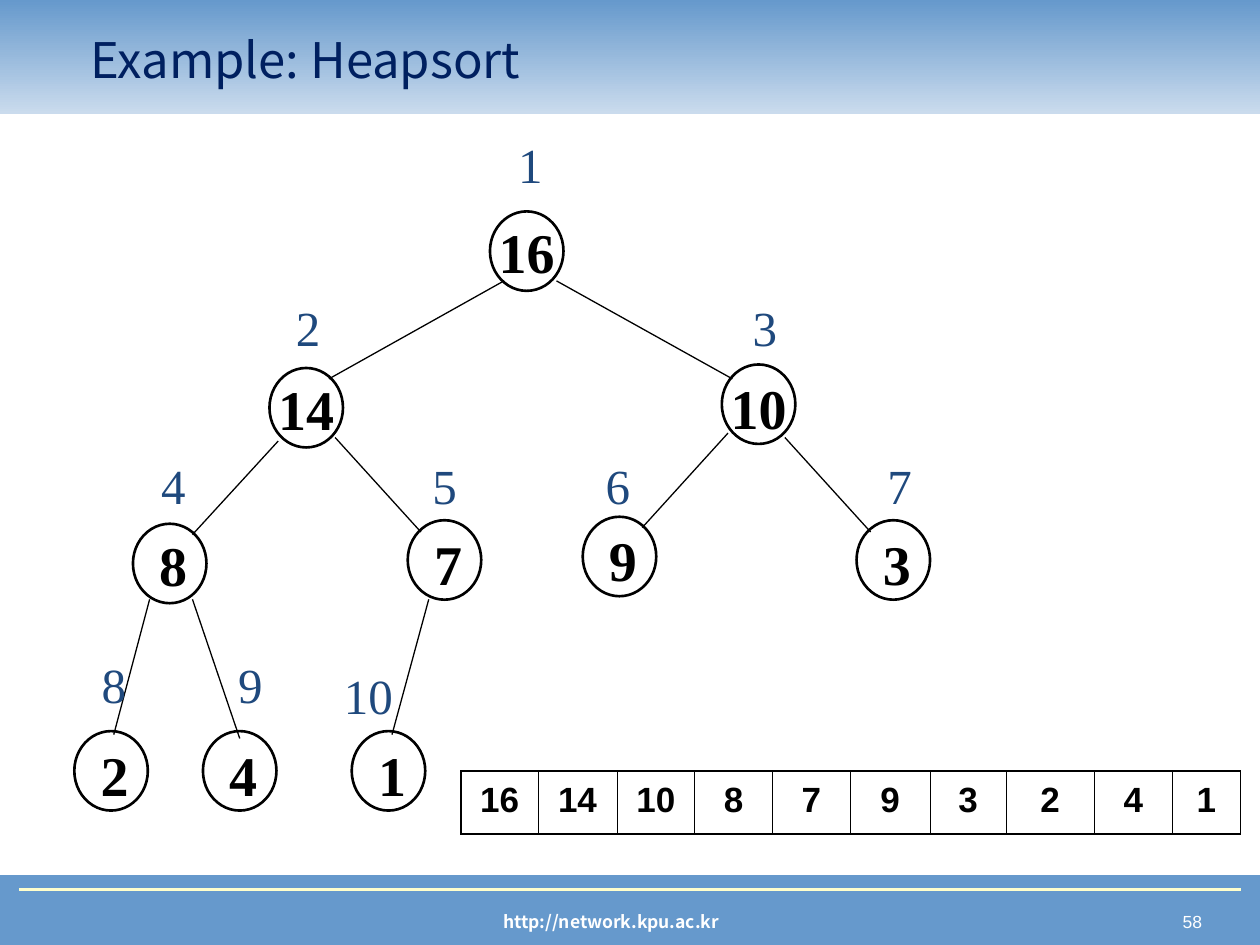
from dataclasses import dataclass
from lxml.etree import SubElement
from pptx import Presentation
from pptx.dml.color import RGBColor as RGB
from pptx.enum.shapes import MSO_CONNECTOR as LINK, MSO_SHAPE as SHAPE
from pptx.enum.text import MSO_ANCHOR as ANCHOR, PP_ALIGN as ALIGN
from pptx.oxml.ns import qn
from pptx.util import Pt


@dataclass(frozen=True)
class Theme:
    band: str = "6699CC"
    pale: str = "CADBED"
    rule: str = "FFFFCC"
    white: str = "FFFFFF"
    title: str = "002060"
    index: str = "1F497D"
    ink: str = "000000"
    sans: str = "Noto Sans CJK KR"
    serif: str = "Times New Roman"
    plain: str = "Arial"
    head: int = 28
    key: int = 32
    cell: int = 20
    foot: int = 10


T = Theme()
NODE_W, NODE_H = 42, 45.4

# key, node centre, drop of the key, index centre
NODES = [
    ("16", (265, 71.5), 0.5, (267, 22)),
    ("14", (139, 161), 0.5, (140, 115)),
    ("10", (397.5, 159), 2, (401, 115)),
    ("8", (61, 250), 0.5, (63, 205)),
    ("7", (218, 248), 2, (218, 205)),
    ("9", (318, 246), 2, (317, 205)),
    ("3", (474.5, 248), 2, (478, 205)),
    ("2", (27.5, 368.5), 2, (29, 319)),
    ("4", (101, 368.5), 2, (107, 319)),
    ("1", (186, 368.5), 2, (174.5, 325)),
]
EDGES = [
    (252, 88.5, 152, 144.5), (282, 88.5, 382.5, 144.5),
    (123, 180, 74, 233.5), (155.5, 178, 204.5, 232),
    (380, 175.5, 331, 229.5), (412.5, 178, 461.5, 232),
    (49.5, 270.5, 29, 347.8), (74, 270.5, 101, 350),
    (209, 270.5, 188, 347.8),
]
COLS = [44, 45, 44.5, 44.5, 44.5, 45.5, 43.5, 50.5, 44.5, 39]


def write(frame, text, font, size, color, bold=False, align=ALIGN.CENTER, space=None):
    para = frame.paragraphs[0]
    para.text = text
    para.alignment = align
    para.line_spacing = space
    para.font.name, para.font.size, para.font.bold = font, Pt(size), bold
    para.font.color.rgb = RGB.from_string(color)


def label(shapes, text, x, y, w, h, wrap=True, **look):
    frame = shapes.add_textbox(Pt(x), Pt(y), Pt(w), Pt(h)).text_frame
    frame.word_wrap = wrap
    write(frame, text, **look)


def line(shapes, x1, y1, x2, y2, color, width):
    link = shapes.add_connector(LINK.STRAIGHT, Pt(x1), Pt(y1), Pt(x2), Pt(y2))
    link.line.color.rgb = RGB.from_string(color)
    link.line.width = Pt(width)
    SubElement(link.element.spPr, qn("a:effectLst"))


def block(shapes, kind, x, y, w, h):
    shape = shapes.add_shape(kind, Pt(x), Pt(y), Pt(w), Pt(h))
    shape.shadow.inherit = False
    return shape


def header(slide, text, x, y, w, h):
    band = block(slide.shapes, SHAPE.RECTANGLE, x, y, w, h)
    band.line.fill.background()
    band.fill.gradient()
    band.fill.gradient_angle = 90
    for stop, color in zip(band.fill.gradient_stops, (T.pale, T.band)):
        stop.color.rgb = RGB.from_string(color)
    title = slide.shapes.title
    title.left, title.top = Pt(x + 44.6), Pt(y + 11.5)
    title.width, title.height = Pt(607.7), Pt(44.6)
    title.text_frame.vertical_anchor = ANCHOR.MIDDLE
    write(title.text_frame, text, T.sans, T.head, T.title, align=ALIGN.LEFT)
    band.element.addnext(title.element)


def footer(slide, site, page, x, y, w, h):
    band = block(slide.shapes, SHAPE.RECTANGLE, x, y, w, h)
    band.fill.solid()
    band.fill.fore_color.rgb = RGB.from_string(T.band)
    band.line.color.rgb = RGB.from_string(T.band)
    band.line.width = Pt(0.75)
    look = dict(size=T.foot, color=T.white)
    label(slide.shapes, page, x + 534, y + 16.5, 160, 19.5,
          font=T.plain, align=ALIGN.RIGHT, **look)
    label(slide.shapes, site, x + 163.4, y + 16.5, 371.5, 19.5,
          font=T.sans, bold=True, **look)
    line(slide.shapes, x + 11, y + 8, x + w - 11, y + 8, T.rule, 1.5)


def tree(slide, x, y):
    parts = slide.shapes.add_group_shape().shapes
    for x1, y1, x2, y2 in EDGES:
        line(parts, x + x1, y + y1, x + x2, y + y2, T.ink, 0.75)
    for rank, (key, (cx, cy), drop, (ix, iy)) in enumerate(NODES, 1):
        ring = block(parts, SHAPE.OVAL, x + cx - NODE_W / 2, y + cy - NODE_H / 2,
                     NODE_W, NODE_H)
        ring.fill.background()
        ring.line.color.rgb = RGB.from_string(T.ink)
        ring.line.width = Pt(1.5)
        shift = 2 if len(key) == 1 else 0
        label(parts, key, x + cx + shift - 28.5, y + cy + drop - 23, 57, 46,
              font=T.serif, size=T.key, color=T.ink, bold=True)
        wide = 28 if rank < 10 else 42.5
        label(parts, str(rank), x + ix - wide / 2, y + iy - 20.5, wide, 41,
              wrap=False, font=T.serif, size=T.head, color=T.index)


def border(cell, sides):
    props = cell._tc.get_or_add_tcPr()
    for side, width in sides.items():
        edge = SubElement(props, qn(f"a:ln{side}"), w=str(Pt(width)))
        SubElement(SubElement(edge, qn("a:solidFill")), qn("a:srgbClr"), val=T.ink)


def array(slide, x, y, h):
    """Draw the heap as a one-row table."""
    thick, thin = 1.08, 0.45
    last = len(COLS) - 1
    table = slide.shapes.add_table(1, len(COLS), Pt(x), Pt(y), Pt(sum(COLS)), Pt(h)).table
    table.first_row = table.horz_banding = False
    table.rows[0].height = Pt(h)
    for i, (width, (key, *_)) in enumerate(zip(COLS, NODES)):
        table.columns[i].width = Pt(width)
        cell = table.cell(0, i)
        border(cell, {"L": thin if i else thick, "R": thick if i == last else thin,
                      "T": thick, "B": thick})
        cell.fill.background()
        write(cell.text_frame, key, T.plain, T.cell, T.ink, bold=True, space=1.1)


def main():
    deck = Presentation()
    deck.slide_width, deck.slide_height = Pt(720), Pt(540)
    slide = deck.slides.add_slide(deck.slide_layouts[5])
    footer(slide, "http://network.kpu.ac.kr", "58", 0, 500.4, 720, 39.6)
    header(slide, "Example: Heapsort", 0, 0, 720, 65)
    tree(slide, 36, 72)
    array(slide, 263.5, 440.6, 36)
    deck.save("out.pptx")


if __name__ == "__main__":
    main()
